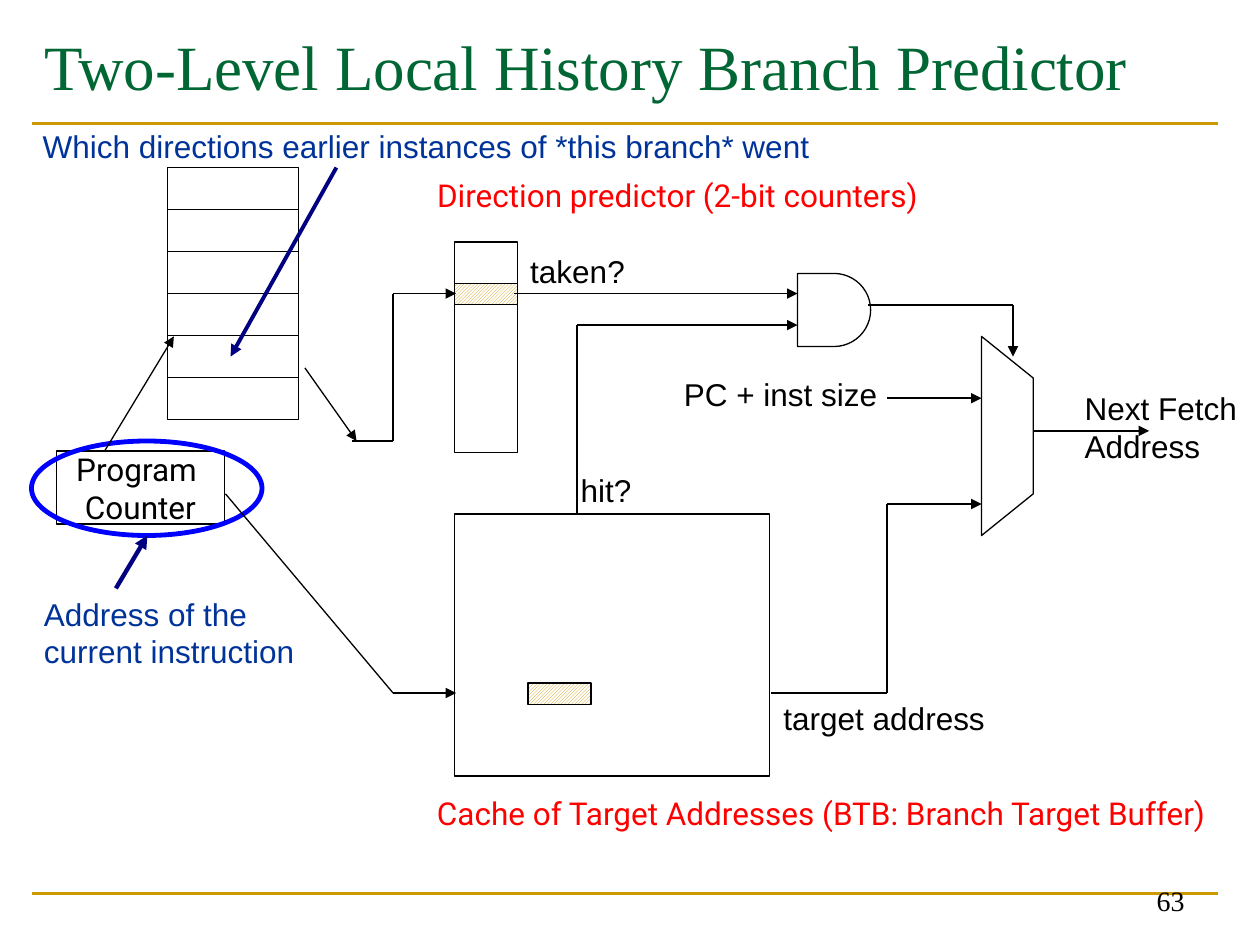
from dataclasses import dataclass

import pptx
import pptx.dml.color
import pptx.enum.dml
import pptx.enum.shapes
import pptx.enum.text
import pptx.oxml.ns
import pptx.util
from lxml import etree
from pptx.util import Inches

Shapes = pptx.enum.shapes.MSO_SHAPE
Align = pptx.enum.text.PP_ALIGN
Anchor = pptx.enum.text.MSO_ANCHOR
qn = pptx.oxml.ns.qn

COLORS = {
    "black": "000000", "white": "FFFFFF", "gold": "CC9900", "green": "006633",
    "red": "FF0000", "note": "003399", "navy": "000080", "blue": "0000FF",
}


@dataclass
class Box:
    left: float
    top: float
    width: float
    height: float
    kind: Shapes = Shapes.RECTANGLE
    color: str = "black"
    weight: float = 0.75
    hatched: bool = False


@dataclass
class Label:
    left: float
    top: float
    width: float
    height: float
    lines: tuple
    font: str = "Arial"
    color: str = "black"
    size: int = 18
    align: Align = Align.LEFT
    anchor: Anchor = Anchor.TOP


@dataclass
class Wire:
    points: tuple
    arrow: bool = True
    color: str = "black"
    weight: float = 0.75


def rgb(name: str) -> pptx.dml.color.RGBColor:
    return pptx.dml.color.RGBColor.from_string(COLORS[name])


def style_line(shape, color: str, weight: float) -> None:
    shape.line.color.rgb = rgb(color)
    shape.line.width = pptx.util.Pt(weight)


def write_text(shape, label: Label, wrap: bool = False) -> None:
    frame = shape.text_frame
    frame.word_wrap = wrap
    frame.vertical_anchor = label.anchor
    frame.text = "\n".join(label.lines)
    font_format = {"name": label.font, "size": pptx.util.Pt(label.size), "bold": False}
    for paragraph in frame.paragraphs:
        paragraph.alignment = label.align
        for run in paragraph.runs:
            for attribute, value in font_format.items():
                setattr(run.font, attribute, value)
            run.font.color.rgb = rgb(label.color)


def place(item) -> tuple:
    return tuple(Inches(value) for value in (item.left, item.top, item.width, item.height))


def draw_label(slide, label: Label) -> None:
    write_text(slide.shapes.add_textbox(*place(label)), label)


def draw_box(slide, box: Box):
    shape = slide.shapes.add_shape(box.kind, *place(box))
    shape.shadow.inherit = False
    style_line(shape, box.color, box.weight)
    if box.hatched:
        shape.fill.patterned()
        shape.fill.pattern = pptx.enum.dml.MSO_PATTERN.DARK_UPWARD_DIAGONAL
        shape.fill.fore_color.rgb = rgb("gold")
        shape.fill.back_color.rgb = rgb("white")
    else:
        shape.fill.background()
    return shape


def draw_wire(slide, wire: Wire) -> None:
    """Draw one connector per leg, with the arrowhead on the last leg."""
    for start, end in zip(wire.points, wire.points[1:]):
        connector = slide.shapes.add_connector(
            pptx.enum.shapes.MSO_CONNECTOR.STRAIGHT,
            *(Inches(value) for value in (*start, *end)))
        style_line(connector, wire.color, wire.weight)
        if wire.arrow and end == wire.points[-1]:
            etree.SubElement(connector.line._get_or_add_ln(), qn("a:tailEnd"), type="triangle")
        etree.SubElement(connector._element.spPr, qn("a:effectLst"))


def draw_outline(slide, points: tuple) -> None:
    corners = [tuple(Inches(value) for value in point) for point in points]
    builder = slide.shapes.build_freeform(*corners[0])
    builder.add_line_segments(corners[1:], close=True)
    shape = builder.convert_to_shape()
    shape.shadow.inherit = False
    shape.fill.background()
    style_line(shape, "black", 0.75)


RULES = [Wire(((0.25, y), (9.67, y)), False, "gold", 1.5) for y in (0.98, 7.09)]

TITLE = Label(0.25, 0.17, 9.67, 1.17, ("Two-Level Local History Branch Predictor",),
              "Times New Roman", "green", 36)
COUNTER_TEXT = Label(0.45, 3.58, 1.33, 0.58, ("Program ", "Counter"), "Roboto",
                     align=Align.CENTER, anchor=Anchor.MIDDLE)

HISTORY_ROWS = 6
ROW_HEIGHT = 1 / 3
BOXES = [Box(1.33, 1.33 + row * ROW_HEIGHT, 1.04, ROW_HEIGHT) for row in range(HISTORY_ROWS)] + [
    Box(3.61, 1.92, 0.5, 1.67),                        # direction predictor
    Box(3.61, 2.25, 0.5, 0.17, hatched=True),
    Box(3.61, 4.08, 2.5, 2.08),                        # target buffer
    Box(4.19, 5.42, 0.5, 0.17, hatched=True),
    Box(6.33, 2.17, 0.58, 0.58, Shapes.FLOWCHART_DELAY),  # AND gate
    Box(0.25, 3.5, 1.83, 0.75, Shapes.OVAL, "blue", 2.75),
]
MULTIPLEXER = ((7.79, 2.67), (8.2, 3), (8.2, 3.92), (7.79, 4.25))

WIRES = [
    Wire(((0.83, 3.58), (1.38, 2.67))),                # counter to history
    Wire(((2.42, 2.92), (2.83, 3.5))),                 # history to predictor
    Wire(((2.79, 3.5), (3.12, 3.5), (3.12, 2.33), (3.62, 2.33))),
    Wire(((1.79, 3.92), (3.12, 5.5), (3.62, 5.5))),    # counter to target buffer
    Wire(((4.08, 2.33), (6.33, 2.33))),                # taken?
    Wire(((4.58, 4.08), (4.58, 2.58), (6.33, 2.58))),  # hit?
    Wire(((6.89, 2.42), (8.04, 2.42), (8.04, 2.83))),  # gate to multiplexer
    Wire(((7.04, 3.16), (7.79, 3.16))),                # next sequential address
    Wire(((6.12, 5.5), (7.04, 5.5), (7.04, 4), (7.79, 4))),  # target address
    Wire(((8.2, 3.42), (9.12, 3.42))),
    Wire(((0.92, 4.67), (1.17, 4.25)), color="navy", weight=2.5),
    Wire(((2.67, 1.33), (1.83, 2.83)), color="navy", weight=2.25),
]

LABELS = [
    Label(0.24, 0.96, 6.49, 0.4,
          ("Which directions earlier instances of *this branch* went",), color="note"),
    Label(0.25, 4.67, 2.22, 0.71, ("Address of the", "current instruction"), color="note"),
    Label(3.37, 1.35, 4.08, 0.4, ("Direction predictor (2-bit counters)",), "Roboto", "red"),
    Label(3.37, 6.25, 6.34, 0.4,
          ("Cache of Target Addresses (BTB: Branch Target Buffer)",), "Roboto", "red"),
    Label(4.11, 1.95, 0.95, 0.4, ("taken?",)),
    Label(4.51, 3.69, 0.6, 0.4, ("hit?",)),
    Label(5.33, 2.93, 1.74, 0.4, ("PC + inst size",)),
    Label(6.12, 5.5, 1.8, 0.4, ("target address",)),
    Label(8.51, 3.04, 1.41, 0.7, ("Next Fetch", "Address")),
]
PAGE_NUMBER = Label(7.17, 6.83, 2.33, 0.5, ("63",), "Times New Roman", size=16,
                    align=Align.RIGHT, anchor=Anchor.BOTTOM)


def main() -> None:
    presentation = pptx.Presentation()
    presentation.slide_width, presentation.slide_height = Inches(10), Inches(7.5)
    slide = presentation.slides.add_slide(presentation.slide_layouts[5])

    # Title, rules and page number
    title = slide.shapes.title
    title.left, title.top, title.width, title.height = place(TITLE)
    write_text(title, TITLE, wrap=True)
    for rule in RULES:
        draw_wire(slide, rule)
    page_number = slide.shapes.add_textbox(*place(PAGE_NUMBER))
    write_text(page_number, PAGE_NUMBER, wrap=True)

    # Diagram blocks
    counter = Box(COUNTER_TEXT.left, COUNTER_TEXT.top, COUNTER_TEXT.width, COUNTER_TEXT.height)
    write_text(draw_box(slide, counter), COUNTER_TEXT)
    for box in BOXES:
        draw_box(slide, box)
    draw_outline(slide, MULTIPLEXER)

    # Wires and labels
    for wire in WIRES:
        draw_wire(slide, wire)
    for label in LABELS:
        draw_label(slide, label)

    presentation.save("out.pptx")


if __name__ == "__main__":
    main()
